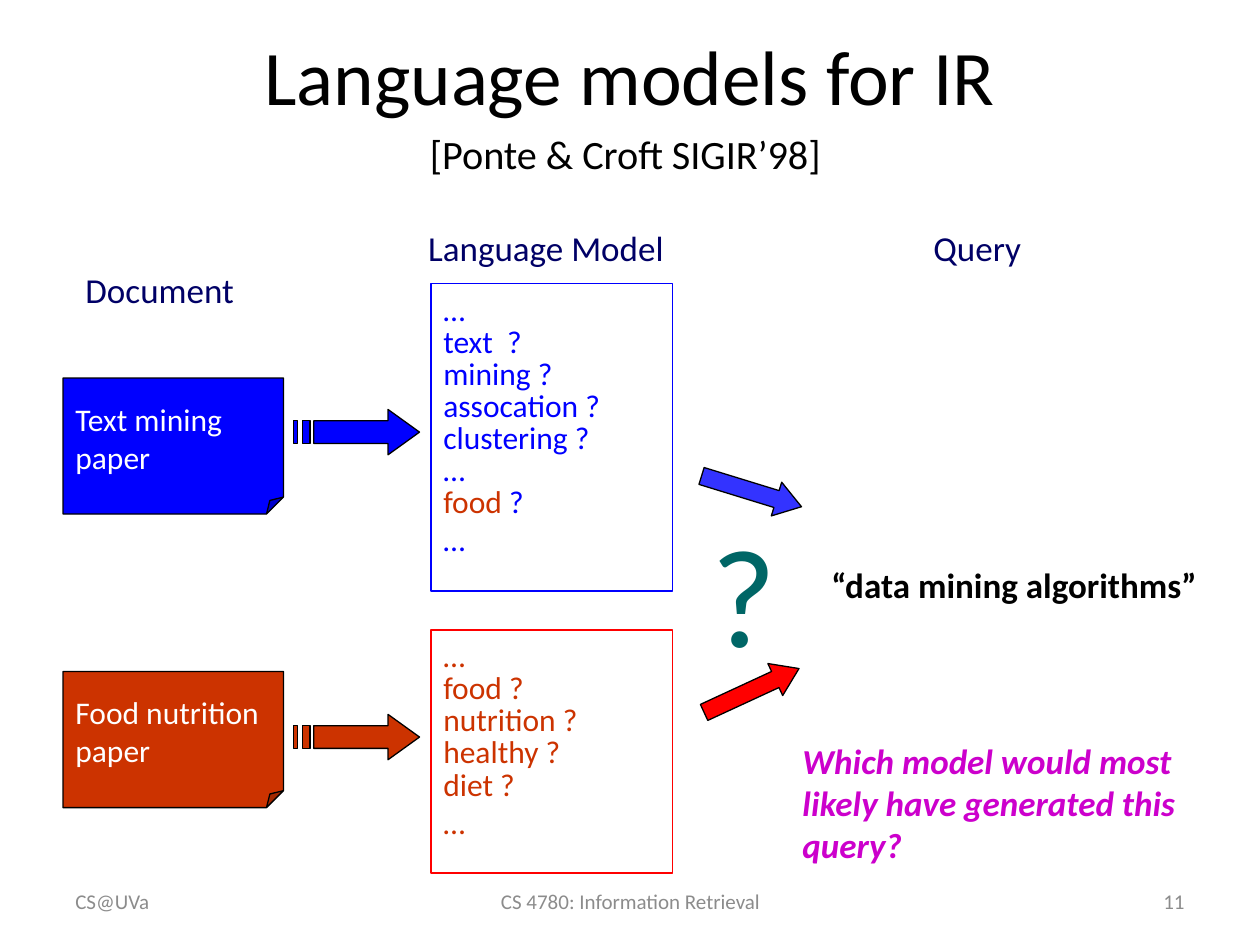
from lxml.etree import SubElement
from pptx import Presentation
from pptx.dml.color import RGBColor
from pptx.enum.shapes import MSO_SHAPE
from pptx.enum.text import MSO_ANCHOR, PP_ALIGN
from pptx.oxml.ns import qn
from pptx.util import Pt

PX = 9144  # 100 px to the inch
COLORS = {
    "black": "000000", "white": "FFFFFF", "navy": "000066", "blue": "0000FF",
    "light_blue": "3333FF", "rust": "CC3300", "red": "FF0000", "teal": "006666",
    "magenta": "CC00CC", "gray": "8C8C8C",
}


def paint(shape, fill, line="black"):
    shape.shadow.inherit = False
    if fill:
        shape.fill.solid()
        shape.fill.fore_color.rgb = RGBColor.from_string(COLORS[fill])
    else:
        shape.fill.background()
    shape.line.color.rgb = RGBColor.from_string(COLORS[line])
    shape.line.width = Pt(0.75)


def write(shape, paragraphs, size, color, anchor=MSO_ANCHOR.TOP,
          align=PP_ALIGN.LEFT, bold=False, italic=False):
    """Each paragraph is a list of (text, color) runs or a plain string."""
    frame = shape.text_frame
    frame.word_wrap = True
    frame.vertical_anchor = anchor
    for index, runs in enumerate(paragraphs):
        paragraph = frame.add_paragraph() if index else frame.paragraphs[0]
        paragraph.alignment = align
        for text, run_color in [(runs, color)] if isinstance(runs, str) else runs:
            run = paragraph.add_run()
            run.text = text
            run.font.name = "Calibri"
            run.font.size = Pt(size)
            run.font.bold = bold
            run.font.italic = italic
            run.font.color.rgb = RGBColor.from_string(COLORS[run_color])
    return frame


presentation = Presentation()
presentation.slide_width = 1000 * PX
presentation.slide_height = 750 * PX
slide = presentation.slides.add_slide(presentation.slide_layouts[6])
shapes = slide.shapes

# Title with the citation raised on its second line
title = shapes.add_textbox(50 * PX, 30 * PX, 900 * PX, 125 * PX)
frame = write(title, ["Language models for IR"], 44.1, "black",
              MSO_ANCHOR.MIDDLE, PP_ALIGN.CENTER)
frame.paragraphs[0].add_line_break()
citation = frame.paragraphs[0].add_run()
citation.text = "[Ponte & Croft SIGIR’98] "
citation.font.name = "Calibri"
citation.font.size = Pt(39.6)
citation.font.color.rgb = RGBColor.from_string(COLORS["black"])
citation.font._element.set("baseline", "30000")

# Column headings
for text, left, top, width in [("Document", 58, 208, 143),
                               ("Language Model", 330, 175, 216),
                               ("Query", 731, 175, 97)]:
    heading = shapes.add_textbox(left * PX, top * PX, width * PX, 43 * PX)
    write(heading, [text], 20, "navy")

# One row per document: folded page, striped arrow, word list
rows = [
    ("blue", "blue", ["Text mining", "paper"], 300, 325, 225, 244,
     ["…", "text  ?", "mining ?", "assocation ?", "clustering ?", "…",
      [("food", "rust"), (" ?", "blue")], "…"]),
    ("rust", "red", ["Food nutrition", "paper"], 533, 567, 500, 193,
     ["…", "food ?", "nutrition ?", "healthy ?", "diet ?", "…"]),
]
arrow_contours = [
    [(75, 0), (75, 9), (16, 9), (16, 27), (75, 27), (75, 36), (100, 18)],
    [(7, 9), (7, 27), (13, 27), (13, 9)],
    [(0, 9), (0, 27), (3, 27), (3, 9)],
]
for color, border, label, page_top, arrow_top, model_top, height, words in rows:
    page = shapes.add_shape(MSO_SHAPE.FOLDED_CORNER, 50 * PX, page_top * PX,
                            175 * PX, 108 * PX)
    fold = page._element.spPr.find(qn("a:prstGeom")).find(qn("a:avLst"))
    SubElement(fold, qn("a:gd"), name="adj", fmla="val 12500")
    paint(page, color)
    write(page, label, 18, "white", MSO_ANCHOR.MIDDLE)

    model = shapes.add_shape(MSO_SHAPE.RECTANGLE, 342 * PX, model_top * PX,
                             192 * PX, height * PX)
    paint(model, None, border)
    frame = write(model, words, 18, color)
    for paragraph in frame.paragraphs[1:-1]:
        paragraph.line_spacing = 0.85

    builder = shapes.build_freeform(*arrow_contours[0][0], scale=PX)
    for index, contour in enumerate(arrow_contours):
        if index:
            builder.move_to(*contour[0])
        builder.add_line_segments(contour[1:], close=True)
    arrow = builder.convert_to_shape(233 * PX, arrow_top * PX)
    paint(arrow, color)

# Arrows from the models to the query
for top, rotation, color in [(376, 17.1, "light_blue"), (534, 335.2, "red")]:
    arrow = shapes.add_shape(MSO_SHAPE.RIGHT_ARROW, 555 * PX, top * PX,
                             83 * PX, 28 * PX)
    arrow.adjustments[0] = 0.5
    arrow.adjustments[1] = 0.74
    arrow.rotation = rotation
    paint(arrow, color)

# Query and question
mark = shapes.add_textbox(555 * PX, 398 * PX, 69 * PX, 143 * PX)
write(mark, ["?"], 80, "teal")
query = shapes.add_textbox(650 * PX, 442 * PX, 312 * PX, 44 * PX)
write(query, ["“data mining algorithms”"], 20, "black", bold=True)
question = shapes.add_textbox(627 * PX, 582 * PX, 359 * PX, 111 * PX)
write(question, ["Which model would most", "likely have generated this query?"],
      20, "magenta", bold=True, italic=True)

# Footer
for text, left, width, align in [
        ("CS@UVa", 50, 233, PP_ALIGN.LEFT),
        ("CS 4780: Information Retrieval", 342, 317, PP_ALIGN.CENTER),
        ("11", 717, 233, PP_ALIGN.RIGHT)]:
    footer = shapes.add_textbox(left * PX, 695 * PX, width * PX, 40 * PX)
    write(footer, [text], 12, "gray", MSO_ANCHOR.MIDDLE, align)

presentation.save("out.pptx")
